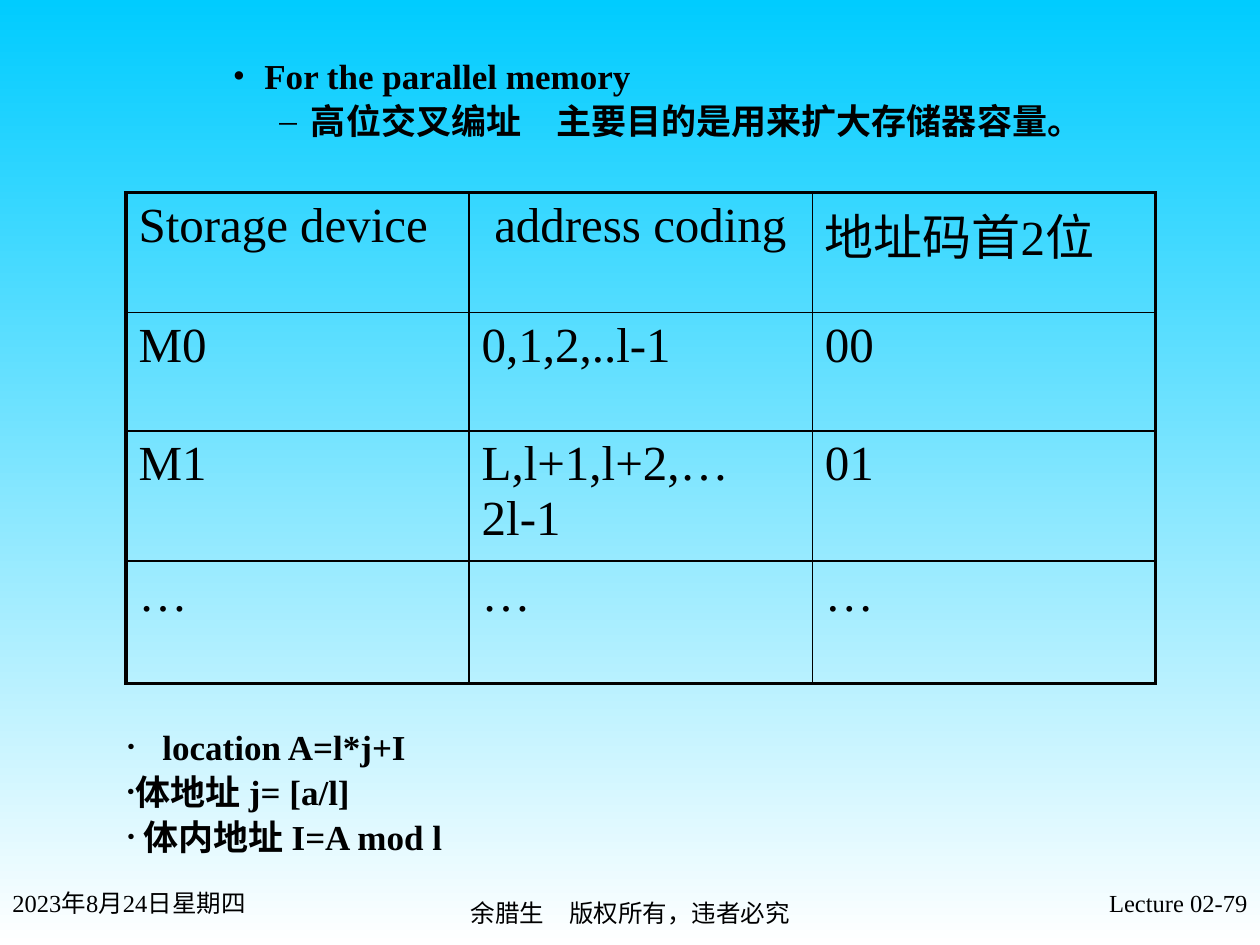
"""Build the slide on high-order interleaved addressing of parallel memory."""
from lxml.etree import SubElement
from pptx import Presentation
from pptx.dml.color import RGBColor
from pptx.enum.text import PP_ALIGN
from pptx.oxml.ns import qn
from pptx.util import Inches, Pt


def style(para, size, bold=False):
    for run in para.runs:
        font = run.font
        font.name = "Times New Roman"
        font.size = Pt(size)
        font.bold = bold
        font.color.rgb = RGBColor.from_string("000000")


def add_text(left, top, width, height):
    box = slide.shapes.add_textbox(Inches(left), Inches(top), Inches(width), Inches(height))
    box.text_frame.word_wrap = True
    return box.text_frame


deck = Presentation()
deck.slide_width = Inches(10)
deck.slide_height = Inches(7.5)
slide = deck.slides.add_slide(deck.slide_layouts[6])

fill = slide.background.fill
fill.gradient()
fill.gradient_angle = 270
for stop, color in zip(fill.gradient_stops, ("00CCFF", "FFFFFF")):
    stop.color.rgb = RGBColor.from_string(color)

feet = [
    (0, 7, 2.08, "2023年8月24日星期四", PP_ALIGN.LEFT),
    (3.42, 7.08, 3.17, "余腊生　版权所有，违者必究", PP_ALIGN.CENTER),
    (7.92, 7, 2.08, "Lecture 02-79", PP_ALIGN.RIGHT),
]
for left, top, width, text, align in feet:
    para = add_text(left, top, width, 0.5).paragraphs[0]
    para.text = text
    para.alignment = align
    style(para, 14)

lists = [
    (0.42, 0.9, [
        ("For the parallel memory", 1.5, 0.25, "•", 100),
        ("高位交叉编址　主要目的是用来扩大存储器容量。", 1.87, 0.25, "–", 100),
    ]),
    (5.75, 1.2, [
        ("location A=l*j+I", 0.69, 0.28, "•", 65),
        ("体地址 j= [a/l]", 0.48, 0.07, "•", 65),
        ("体内地址 I=A mod l", 0.54, 0.13, "•", 65),
    ]),
]
for top, height, items in lists:
    frame = add_text(0.5, top, 9.5, height)
    for i, (text, margin, hang, mark, scale) in enumerate(items):
        para = frame.add_paragraph() if i else frame.paragraphs[0]
        para.text = text
        para.line_spacing = 0.9
        if i:
            para.space_before = Pt(4)
        props = para._p.get_or_add_pPr()
        props.set("marL", str(Inches(margin)))
        props.set("indent", str(-Inches(hang)))
        SubElement(props, qn("a:buSzPct"), val=str(scale * 1000))
        SubElement(props, qn("a:buFont"), typeface="Times New Roman")
        SubElement(props, qn("a:buChar"), char=mark)
        style(para, 20, True)

rows = [
    ("Storage device", "address coding", "地址码首2位"),
    ("M0", "0,1,2,..l-1", "00"),
    ("M1", "L,l+1,l+2,…2l-1", "01"),
    ("…", "…", "…"),
]
grid = slide.shapes.add_table(4, 3, Inches(1), Inches(1.53), Inches(8.17), Inches(3.89)).table
grid.first_row = False
grid.horz_banding = False
for row, height in zip(grid.rows, (0.95, 0.94, 1.03, 0.97)):
    row.height = Inches(height)
for r, row in enumerate(rows):
    for c, text in enumerate(row):
        cell = grid.cell(r, c)
        cell.text_frame.text = text
        style(cell.text_frame.paragraphs[0], 28)
        props = cell._tc.get_or_add_tcPr()
        edges = {"L": c == 0, "R": c == 2, "T": r == 0, "B": r == 3}
        for side, outer in edges.items():
            line = SubElement(props, qn("a:ln" + side), w=str(Pt(2.25 if outer else 1)))
            solid = SubElement(line, qn("a:solidFill"))
            SubElement(solid, qn("a:srgbClr"), val="000000")
        cell.fill.background()
grid.cell(0, 1).margin_left = Inches(0.2)

deck.save("out.pptx")
